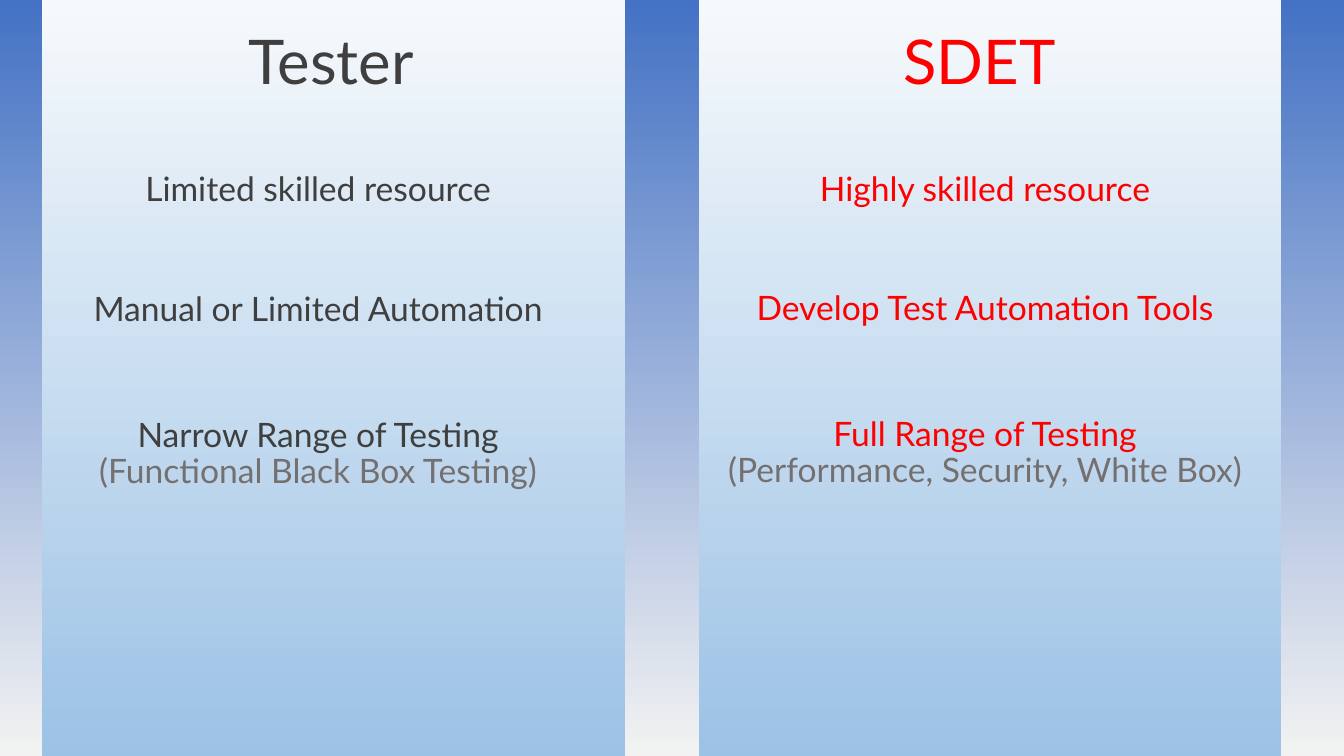
from dataclasses import dataclass

from pptx import Presentation
from pptx.dml.color import RGBColor as Color
from pptx.enum.shapes import MSO_SHAPE as Shape
from pptx.enum.text import MSO_ANCHOR as Anchor, PP_ALIGN as Align
from pptx.util import Pt


@dataclass(frozen=True)
class Theme:
    font: str = "Lato"
    head: int = 44
    body: int = 24
    dark: str = "3F3F3F"
    red: str = "FF0000"
    gray: str = "757070"
    back: tuple = ("4472C4", "F2F2F2")
    panel: tuple = ("F6F9FC", "9CC2E5")


theme = Theme()
WIDE, HIGH = 1344, 756
SCALE = 914400 / 100.8

COLUMNS = [
    {
        "title": "Tester",
        "rows": [
            ["Limited skilled resource"],
            ["Manual or Limited Automation"],
            ["Narrow Range of Testing", "(Functional Black Box Testing)"],
        ],
        "color": theme.dark,
        "panel": (42, 583),
        "head": -5,
        "body": 33,
        "shift": 0,
    },
    {
        "title": "SDET",
        "rows": [
            ["Highly skilled resource"],
            ["Develop Test Automation Tools"],
            ["Full Range of Testing", "(Performance, Security, White Box)"],
        ],
        "color": theme.red,
        "panel": (699, 582),
        "head": 643,
        "body": 700,
        "shift": -1,
    },
]
ROWS = [(168, 79, 0.9), (291, 79, 0.8), (413, 138, 0.9)]


def px(*sizes):
    return [round(size * SCALE) for size in sizes]


def shade(fill, colors):
    fill.gradient()
    fill.gradient_angle = 270
    for stop, color in zip(fill.gradient_stops, colors):
        stop.color.rgb = Color.from_string(color)


def write(slide, lines, box, *, size, colors, spacing=0.9):
    frame = slide.shapes.add_textbox(*px(*box)).text_frame
    frame.word_wrap = True
    frame.vertical_anchor = Anchor.TOP
    para = frame.paragraphs[0]
    para.alignment = Align.CENTER
    para.line_spacing = spacing
    for i, (line, color) in enumerate(zip(lines, colors)):
        if i:
            para.add_line_break()
        run = para.add_run()
        run.text = line
        run.font.name = theme.font
        run.font.size = Pt(size)
        run.font.color.rgb = Color.from_string(color)


def draw(slide, column):
    left, width = column["panel"]
    panel = slide.shapes.add_shape(Shape.RECTANGLE, *px(left, 0, width, HIGH))
    panel.shadow.inherit = False
    panel.line.fill.background()
    shade(panel.fill, theme.panel)

    colors = (column["color"], theme.gray)
    write(slide, [column["title"]], (column["head"], 26, 673, 95),
          size=theme.head, colors=colors)
    for lines, (top, height, spacing) in zip(column["rows"], ROWS):
        box = (column["body"], top + column["shift"], 570, height)
        write(slide, lines, box, size=theme.body, colors=colors, spacing=spacing)


def main():
    deck = Presentation()
    deck.slide_width, deck.slide_height = px(WIDE, HIGH)
    slide = deck.slides.add_slide(deck.slide_layouts[6])
    shade(slide.background.fill, theme.back)
    for column in COLUMNS:
        draw(slide, column)
    deck.save("out.pptx")


if __name__ == "__main__":
    main()
